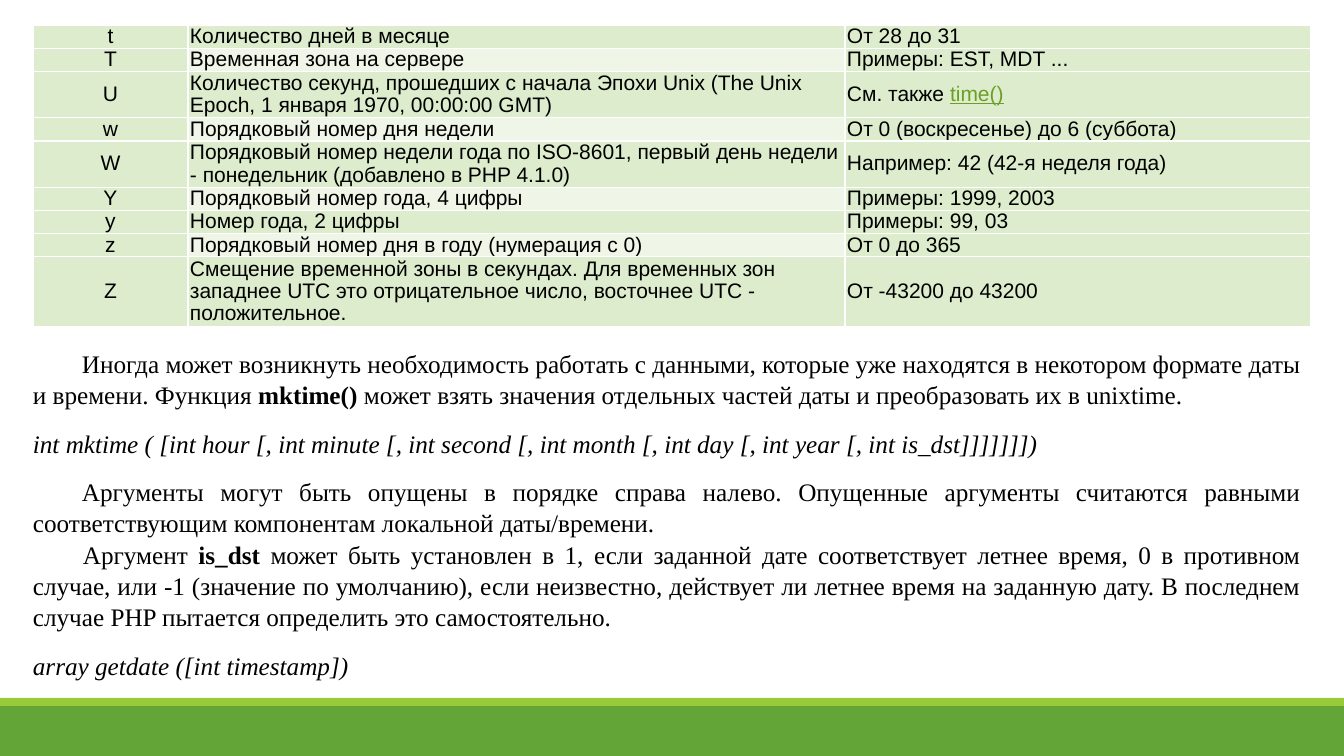
from lxml.etree import SubElement
from pptx import Presentation
from pptx.dml.color import RGBColor
from pptx.enum.shapes import MSO_SHAPE
from pptx.enum.text import MSO_ANCHOR, PP_ALIGN
from pptx.oxml.ns import qn
from pptx.util import Pt

# Content: code, meaning, example
FORMATS = [
    ("t", "Количество дней в месяце", "От 28 до 31"),
    ("T", "Временная зона на сервере", "Примеры: EST, MDT ..."),
    ("U", "Количество секунд, прошедших с начала Эпохи Unix (The Unix Epoch, 1 января 1970, 00:00:00 GMT)",
     "См. также time()"),
    ("w", "Порядковый номер дня недели", "От 0 (воскресенье) до 6 (суббота)"),
    ("W", "Порядковый номер недели года по ISO-8601, первый день недели - понедельник (добавлено в PHP 4.1.0)",
     "Например: 42 (42-я неделя года)"),
    ("Y", "Порядковый номер года, 4 цифры", "Примеры: 1999, 2003"),
    ("y", "Номер года, 2 цифры", "Примеры: 99, 03"),
    ("z", "Порядковый номер дня в году (нумерация с 0)", "От 0 до 365"),
    ("Z", "Смещение временной зоны в секундах. Для временных зон западнее UTC это отрицательное число, "
     "восточнее UTC - положительное.", "От -43200 до 43200"),
]
LINES = [1, 1, 2, 1, 2, 1, 1, 1, 3]
LINK = "time()"

# Paragraphs: first-line indent in px, space before in pt, runs of (text, style)
BODY = [
    (49, 0, [("Иногда может возникнуть необходимость работать с данными, которые уже наxодятся "
              "в некотором формате даты и времени. Функция ", ""),
             ("mktime()", "b"),
             (" может взять значения отдельныx частей даты и преобразовать иx в unixtime.", "")]),
    (0, 12, [("int mktime ( [int hour [, int minute [, int second [, int month [, int day "
              "[, int year [, int is_dst]]]]]]])", "i")]),
    (49, 12, [("Аргументы могут быть опущены в порядке справа налево. Опущенные аргументы считаются "
               "равными соответствующим компонентам локальной даты/времени.", "")]),
    (50, 0, [("Аргумент ", ""), ("is_dst", "b"),
             (" может быть установлен в 1, если заданной дате соответствует летнее время, 0 в противном "
              "случае, или -1 (значение по умолчанию), если неизвестно, действует ли летнее время на "
              "заданную дату. В последнем случае PHP пытается определить это самостоятельно.", "")]),
    (0, 12, [("array getdate ([int timestamp])", "i")]),
]

GREEN = RGBColor(0x63, 0xA5, 0x37)
LIME = RGBColor(0x99, 0xCB, 0x38)
CELL = RGBColor(0xDD, 0xEC, 0xCC)
CELL_LIGHT = RGBColor(0xEF, 0xF6, 0xE7)
LINK_GREEN = RGBColor(0x6B, 0x9F, 0x25)
BLACK = RGBColor(0, 0, 0)


def px(n):
    return round(n * 914400 / 100.8)


def add_run(p, text, font, size, color=BLACK):
    r = p.add_run()
    r.text = text
    r.font.name, r.font.size = font, Pt(size)
    r.font.color.rgb = color
    return r


def white_borders(cell):
    tcPr = cell._tc.get_or_add_tcPr()
    for i, side in enumerate(("lnL", "lnR", "lnT", "lnB")):
        ln = tcPr.makeelement(qn("a:" + side), {"w": str(Pt(1))})
        fill = SubElement(ln, qn("a:solidFill"))
        SubElement(fill, qn("a:srgbClr"), val="FFFFFF")
        tcPr.insert(i, ln)


prs = Presentation()
prs.slide_width, prs.slide_height = px(1344), px(756)
s = prs.slides.add_slide(prs.slide_layouts[6])

# Footer bands
for top, height, color in ((706, 50, GREEN), (698, 8, LIME)):
    sp = s.shapes.add_shape(MSO_SHAPE.RECTANGLE, 0, px(top), px(1344), px(height))
    sp.shadow.inherit = False
    sp.fill.solid()
    sp.fill.fore_color.rgb = color
    sp.line.fill.background()

# Format table
COLS = [155, 657, 466]
LINE = 23.2
table = s.shapes.add_table(len(FORMATS), len(COLS), px(33), px(25),
                           px(sum(COLS)), px(LINE * sum(LINES))).table
for col, width in zip(table.columns, COLS):
    col.width = px(width)
for i, (row, lines) in enumerate(zip(FORMATS, LINES)):
    table.rows[i].height = px(LINE * lines)
    for j, text in enumerate(row):
        cell = table.cell(i, j)
        cell.margin_left = cell.margin_right = px(2)
        cell.margin_top = cell.margin_bottom = 0
        cell.vertical_anchor = MSO_ANCHOR.MIDDLE
        cell.fill.solid()
        cell.fill.fore_color.rgb = CELL_LIGHT if j == 1 and i % 2 else CELL
        white_borders(cell)
        p = cell.text_frame.paragraphs[0]
        p.alignment = PP_ALIGN.CENTER if j == 0 else PP_ALIGN.LEFT
        p.line_spacing = 0.96
        plain, link, _ = text.partition(LINK)
        add_run(p, plain, "Arial", 15)
        if link:
            add_run(p, link, "Arial", 15, LINK_GREEN).font.underline = True

# Body text
tf = s.shapes.add_textbox(px(23), px(342), px(1288), px(336)).text_frame
tf.word_wrap = True
for i, (indent, before, runs) in enumerate(BODY):
    p = tf.paragraphs[0] if i == 0 else tf.add_paragraph()
    p.alignment = PP_ALIGN.JUSTIFY
    p.line_spacing = 1.04
    p.space_before = Pt(before)
    p._p.get_or_add_pPr().set("indent", str(px(indent)))
    for text, style in runs:
        r = add_run(p, text, "Times New Roman", 18)
        r.font.bold, r.font.italic = style == "b", style == "i"

prs.save("out.pptx")
